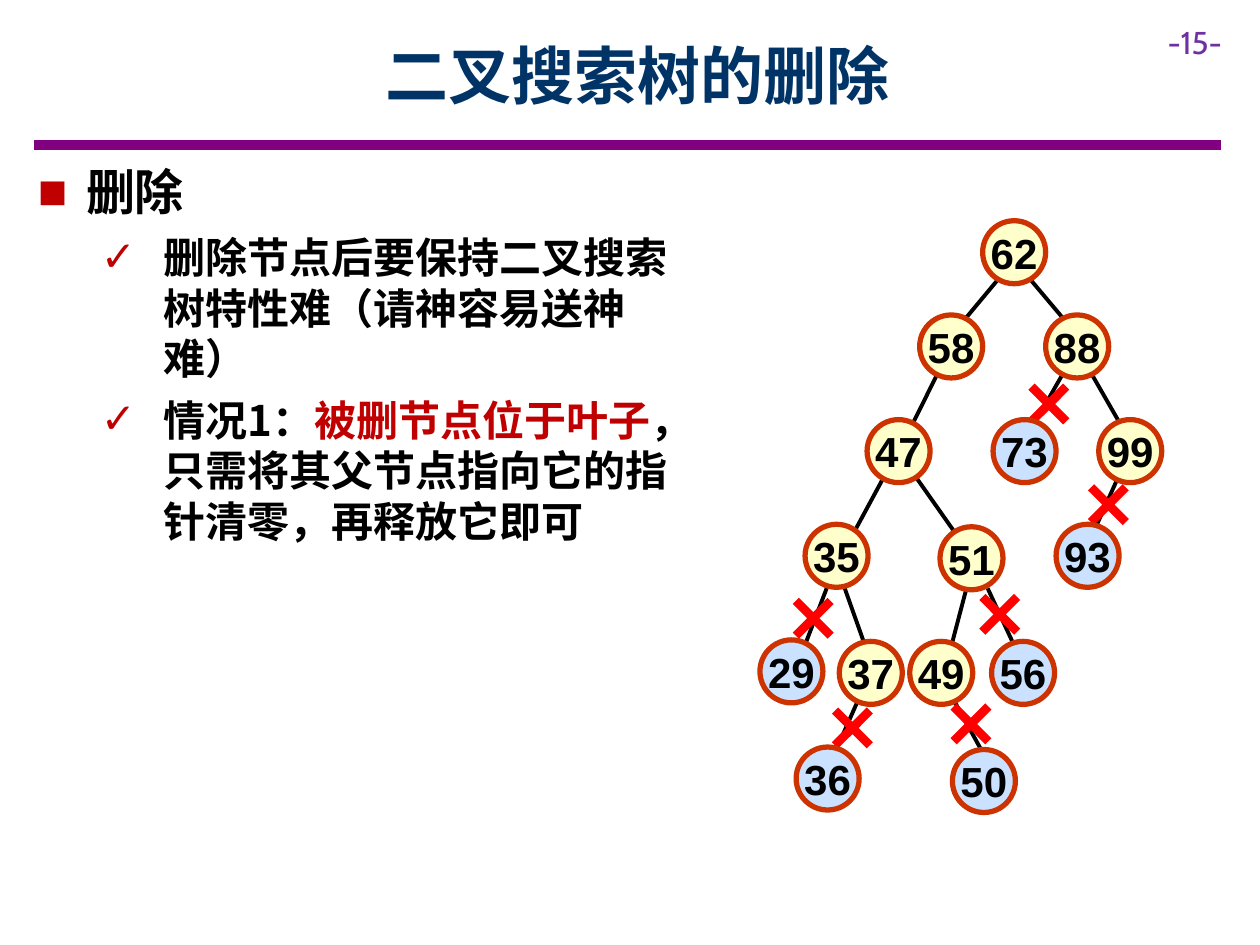
from lxml.etree import SubElement
from pptx import Presentation
from pptx.dml.color import RGBColor
from pptx.enum.shapes import MSO_CONNECTOR, MSO_SHAPE
from pptx.enum.text import MSO_ANCHOR, MSO_AUTO_SIZE, PP_ALIGN
from pptx.oxml.ns import qn
from pptx.util import Cm, Pt

COLORS = {
    "title": "003366", "rule": "800080", "number": "7030A0", "text": "000000",
    "accent": "C00000", "cross": "FF0000", "ring": "CC3300",
    "kept": "FFFFCC", "leaf": "CAE2FF",
}
CHINESE = "Noto Sans CJK SC"
NODE_SIZE, CROSS_SIZE = 1.27, 1.35

# Tree nodes by key: left and top in cm
INNER_NODES = {
    62: (19.81, 4.45), 88: (21.08, 6.35), 51: (18.95, 10.62),
    58: (18.54, 6.35), 99: (22.15, 8.46), 49: (18.34, 12.93),
    35: (16.23, 10.57), 37: (16.92, 12.93), 47: (17.48, 8.46),
}
LEAF_NODES = {
    29: (15.32, 12.9), 36: (16.05, 15.06), 56: (19.99, 12.93),
    50: (19.2, 15.11), 73: (20.02, 8.46), 93: (21.29, 10.57),
}
# Branches by parent and child: start x, y and end x, y in cm
BRANCHES = {
    (51, 56): (19.91, 11.86, 20.62, 13.39),
    (37, 36): (17.53, 13.59, 16.69, 15.49),
    (49, 50): (19.13, 13.94, 19.96, 15.44),
    (99, 93): (22.78, 9.09, 21.92, 11),
    (88, 73): (21.51, 7.39, 20.65, 8.89),
    (35, 29): (16.76, 11.61, 16.08, 13.39),
    (51, 49): (19.53, 11.68, 19.15, 13.13),
    (47, 51): (18.31, 9.4, 19.38, 10.92),
    (58, 47): (18.97, 7.39, 18.34, 8.66),
    (88, 99): (21.92, 7.39, 22.78, 8.89),
    (62, 58): (20.24, 5.49, 19.18, 6.76),
    (62, 88): (20.65, 5.49, 21.72, 6.76),
    (35, 37): (16.94, 11.61, 17.48, 13.13),
    (47, 35): (17.88, 9.5, 17.07, 11),
}
CROSSES = [(15.72, 11.79), (16.51, 14), (18.9, 13.92),
           (19.48, 11.71), (20.47, 7.47), (21.67, 9.5)]

# List items: level, bullet, pieces of text with their colours
ITEMS = [
    (0, "■", [("删除", "text")]),
    (1, "✓", [("删除节点后要保持二叉搜索树特性难（请神容易送神难）", "text")]),
    (1, "✓", [("情况1：", "text"), ("被删节点位于叶子", "accent"),
              ("，只需将其父节点指向它的指针清零，再释放它即可", "text")]),
]
# Size, line height (pt), margin and hanging indent (cm) for each level
LEVELS = [(28, 34, 0.97, 0.97), (24, 29, 2.54, 1.27)]


def rgb(name):
    return RGBColor.from_string(COLORS[name])


class SlideBuilder:
    def __init__(self, page):
        self.page = page

    def style(self, span, size, color, font=CHINESE, bold=True):
        span.font.size = Pt(size)
        span.font.bold = bold
        span.font.name = font
        span.font.color.rgb = rgb(color)
        SubElement(span._r.get_or_add_rPr(), qn("a:ea")).set("typeface", font)

    def place(self, box, left, top, width, height):
        box.left, box.top = Cm(left), Cm(top)
        box.width, box.height = Cm(width), Cm(height)

    def title(self, text, *area):
        box = self.page.shapes.title
        self.place(box, *area)
        box.text_frame.text = text
        box.text_frame.vertical_anchor = MSO_ANCHOR.MIDDLE
        para = box.text_frame.paragraphs[0]
        para.alignment = PP_ALIGN.CENTER
        self.style(para.runs[0], 36, "title")

    def bullet(self, para, mark, margin, hanging):
        props = para._p.get_or_add_pPr()
        props.set("marL", str(Cm(margin)))
        props.set("indent", str(-Cm(hanging)))
        color = SubElement(props, qn("a:buClr"))
        SubElement(color, qn("a:srgbClr")).set("val", COLORS["accent"])
        SubElement(props, qn("a:buFont")).set("typeface", "Arial")
        SubElement(props, qn("a:buChar")).set("char", mark)

    def bullets(self, items, *area):
        box = self.page.placeholders[1]
        self.place(box, *area)
        frame = box.text_frame
        frame.auto_size = MSO_AUTO_SIZE.NONE
        frame.vertical_anchor = MSO_ANCHOR.TOP
        for index, (level, mark, pieces) in enumerate(items):
            para = frame.add_paragraph() if index else frame.paragraphs[0]
            size, line_height, margin, hanging = LEVELS[level]
            para.level = level
            self.bullet(para, mark, margin, hanging)
            para.line_spacing = Pt(line_height)
            para.space_before, para.space_after = Pt(0), Pt(6)
            for text, color in pieces:
                span = para.add_run()
                span.text = text
                self.style(span, size, color)

    def label(self, text, *area):
        box = self.page.shapes.add_textbox(*map(Cm, area))
        box.text_frame.word_wrap = True
        box.text_frame.text = text
        span = box.text_frame.paragraphs[0].runs[0]
        self.style(span, 18, "number", "Cabin", False)

    def line(self, ends, color, width):
        line = self.page.shapes.add_connector(
            MSO_CONNECTOR.STRAIGHT, *map(Cm, ends))
        line.line.color.rgb = rgb(color)
        line.line.width = Pt(width)
        SubElement(line._element.spPr, qn("a:effectLst"))

    def shape(self, kind, left, top, size, fill):
        shape = self.page.shapes.add_shape(
            kind, Cm(left), Cm(top), Cm(size), Cm(size))
        shape.shadow.inherit = False
        shape.fill.solid()
        shape.fill.fore_color.rgb = rgb(fill)
        return shape

    def node(self, key, left, top, fill):
        shape = self.shape(MSO_SHAPE.OVAL, left, top, NODE_SIZE, fill)
        shape.line.color.rgb = rgb("ring")
        shape.line.width = Pt(3)
        frame = shape.text_frame
        frame.margin_left = frame.margin_right = 0
        frame.margin_top = frame.margin_bottom = 0
        frame.word_wrap = False
        frame.vertical_anchor = MSO_ANCHOR.MIDDLE
        frame.text = str(key)
        frame.paragraphs[0].alignment = PP_ALIGN.CENTER
        self.style(frame.paragraphs[0].runs[0], 24, "text", "Arial")

    def cross(self, left, top):
        shape = self.shape(MSO_SHAPE.MATH_MULTIPLY, left, top, CROSS_SIZE, "cross")
        shape.adjustments[0] = 0.13
        shape.line.fill.background()


def main():
    deck = Presentation()
    deck.slide_width, deck.slide_height = Cm(25.4), Cm(19.05)
    builder = SlideBuilder(deck.slides.add_slide(deck.slide_layouts[1]))

    # Heading, rule and page number
    builder.line((0.69, 2.92, 24.61, 2.92), "rule", 6)
    builder.label("-15-", 23.29, 0.33, 2.11, 1.02)
    builder.title("二叉搜索树的删除", 2.29, 0.23, 21.11, 2.54)

    # Explanation
    builder.bullets(ITEMS, 0.51, 3.12, 13.41, 8.26)

    # Tree: branches, inner nodes, cut marks, deleted leaves
    for ends in BRANCHES.values():
        builder.line(ends, "text", 2.25)
    for key, corner in INNER_NODES.items():
        builder.node(key, *corner, "kept")
    for corner in CROSSES:
        builder.cross(*corner)
    for key, corner in LEAF_NODES.items():
        builder.node(key, *corner, "leaf")

    deck.save("out.pptx")


if __name__ == "__main__":
    main()
